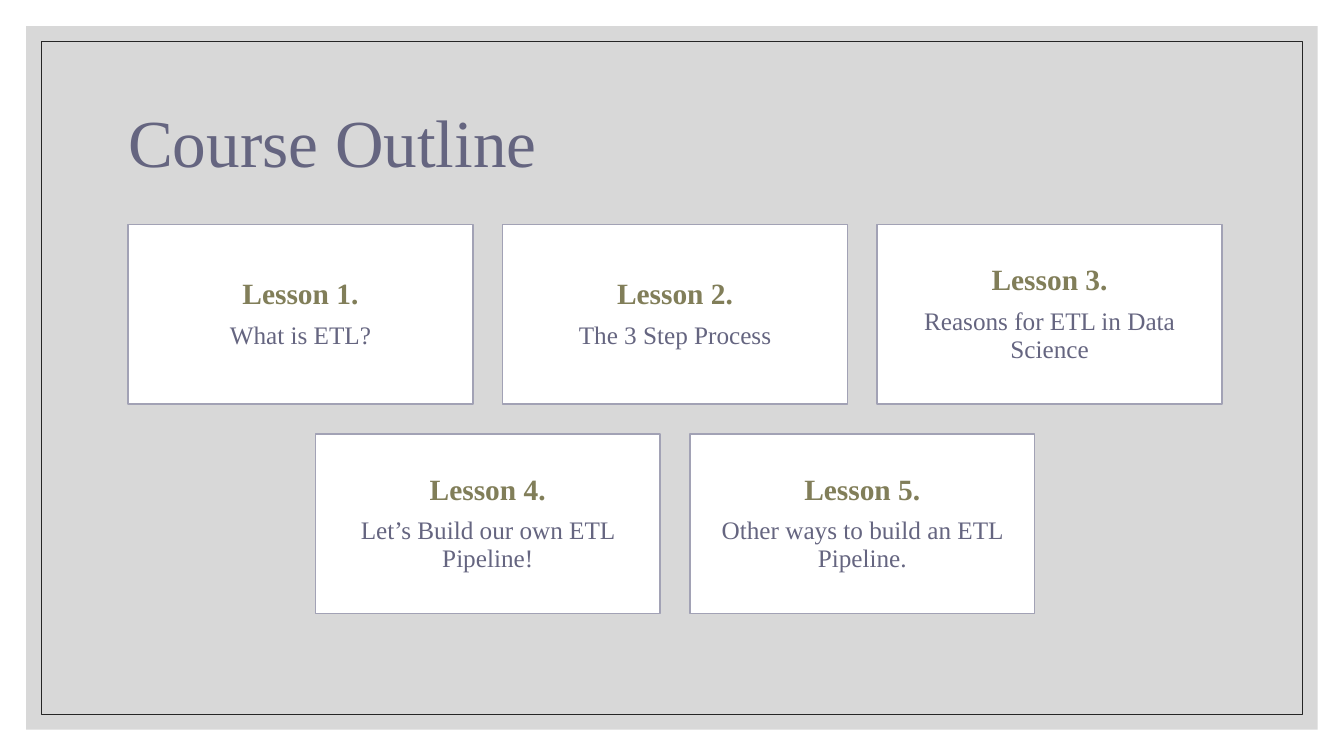
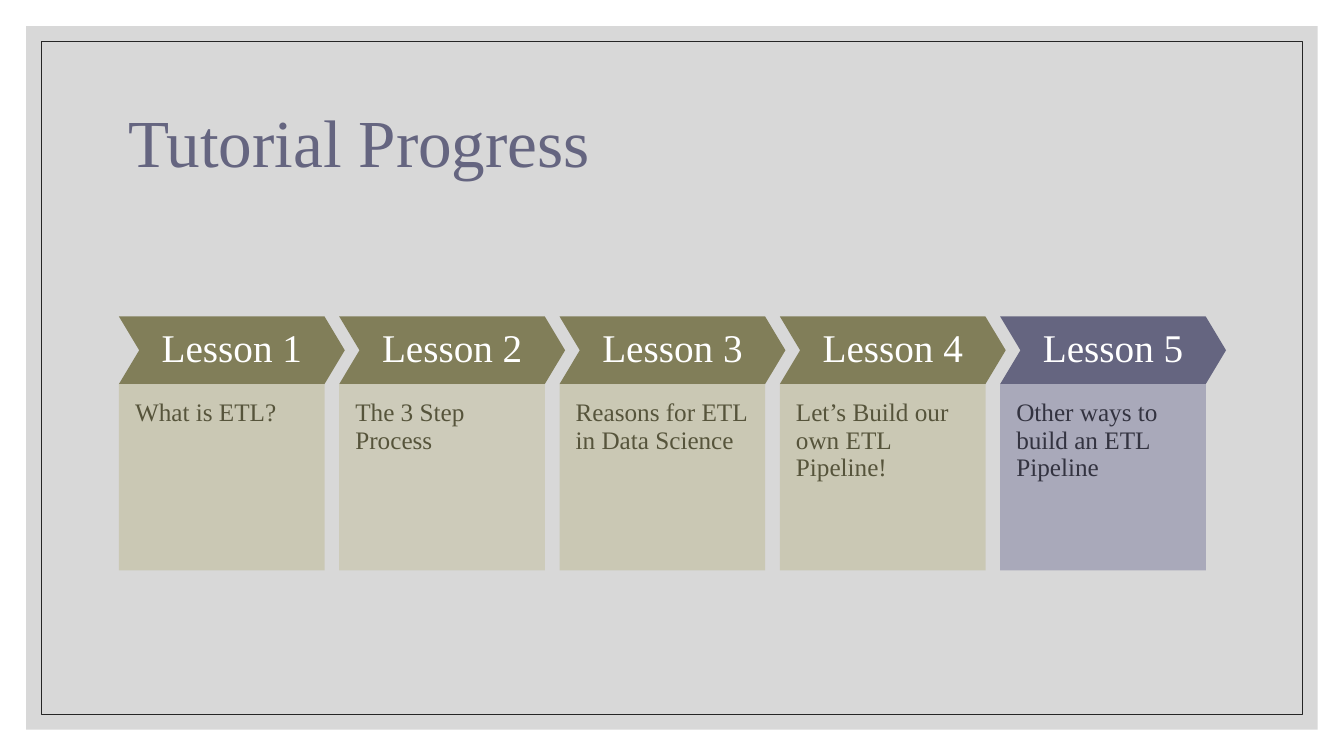
from lxml import etree
from pptx import Presentation
from pptx import util as u
from pptx.dml.color import RGBColor
from pptx.enum import shapes, text
from pptx.oxml import ns

COLORS = {
    "white": "FFFFFF", "backdrop": "BFBFBF", "frame": "262626",
    "violet": "656580", "violet_edge": "A2A2B5", "violet_pale": "A9A9BA", "violet_dark": "333340",
    "olive": "817E59", "olive_pale": "C9C7B1", "olive_light": "CCCAB7", "olive_dark": "56543B",
}
FONT = "Times New Roman"
WIDTH, HEIGHT = 13.33, 7.5
TOPICS = [
    "What is ETL?",
    "The 3 Step Process",
    "Reasons for ETL in Data Science",
    "Let’s Build our own ETL Pipeline!",
    "Other ways to build an ETL Pipeline",
]


def add_box(slide, kind, place, fill=None, opacity=100, line=None, line_width=1):
    shape = slide.shapes.add_shape(kind, *map(u.Inches, place))
    shape.shadow.inherit = False
    if fill:
        shape.fill.solid()
        shape.fill.fore_color.rgb = RGBColor.from_string(COLORS[fill])
        if opacity < 100:
            color = shape.element.spPr.find(".//" + ns.qn("a:srgbClr"))
            etree.SubElement(color, ns.qn("a:alpha"), val=str(opacity * 1000))
    else:
        shape.fill.background()
    if line:
        shape.line.color.rgb = RGBColor.from_string(COLORS[line])
        shape.line.width = u.Pt(line_width)
    else:
        shape.line.fill.background()
    return shape


def write(shape, lines, align, anchor, margins):
    frame = shape.text_frame
    frame.word_wrap = True
    frame.vertical_anchor = anchor
    frame.margin_left, frame.margin_top, frame.margin_right, frame.margin_bottom = map(u.Inches, margins)
    frame.text = "\n".join(line[0] for line in lines)
    for paragraph, (_, size, color, bold) in zip(frame.paragraphs, lines):
        paragraph.alignment = align
        paragraph.line_spacing = 0.9
        paragraph.space_after = u.Pt(size * 0.4)
        paragraph.font.name = FONT
        paragraph.font.size = u.Pt(size)
        paragraph.font.bold = bold
        paragraph.font.color.rgb = RGBColor.from_string(COLORS[color])


presentation = Presentation()
presentation.slide_width = u.Inches(WIDTH)
presentation.slide_height = u.Inches(HEIGHT)

layout = presentation.slide_layouts.get_by_name("Title Only")
for placeholder in list(layout.placeholders):
    if placeholder.placeholder_format.type != shapes.PP_PLACEHOLDER.TITLE:
        placeholder.element.getparent().remove(placeholder.element)
layout_title = layout.placeholders[0]
layout_title.left, layout_title.top = u.Inches(1.17), u.Inches(0.7)
layout_title.width, layout_title.height = u.Inches(11), u.Inches(1.5)

slides = []
for title in ("Course Outline", "Tutorial Progress"):
    slide = presentation.slides.add_slide(layout)
    write(slide.shapes.title, [(title, 48, "violet", False)],
          text.PP_ALIGN.LEFT, text.MSO_ANCHOR.MIDDLE, (0.1, 0.05, 0.1, 0.05))
    slides.append(slide)
outline, progress = slides

RECTANGLE = shapes.MSO_SHAPE.RECTANGLE
backdrop, border = [
    add_box(outline, RECTANGLE, (inset, inset, WIDTH - 2 * inset, HEIGHT - 2 * inset), **style)
    for inset, style in (
        (0.26, {"fill": "backdrop", "opacity": 60}),
        (0.41, {"line": "frame", "line_width": 0.5}),
    )
]
layout_title.element.addprevious(backdrop.element)
layout_title.element.addprevious(border.element)

CARD_LEFT, CARD_TOP, CARD_SPAN = 1.27, 2.23, 10.85
CARD_WIDTH, CARD_HEIGHT, CARD_COLUMNS = 3.42, 1.78, 3
card_gap = (CARD_SPAN - CARD_COLUMNS * CARD_WIDTH) / (CARD_COLUMNS - 1)
outline_topics = TOPICS[:-1] + [TOPICS[-1] + "."]
for index, topic in enumerate(outline_topics):
    row, column = divmod(index, CARD_COLUMNS)
    row_count = min(CARD_COLUMNS, len(TOPICS) - row * CARD_COLUMNS)
    indent = (CARD_COLUMNS - row_count) * (CARD_WIDTH + card_gap) / 2
    left = CARD_LEFT + indent + column * (CARD_WIDTH + card_gap)
    top = CARD_TOP + row * (CARD_HEIGHT + card_gap)
    card = add_box(outline, RECTANGLE, (left, top, CARD_WIDTH, CARD_HEIGHT), "white", line="violet_edge")
    write(card, [(f"Lesson {index + 1}.", 21, "olive", True), (topic, 18, "violet", False)],
          text.PP_ALIGN.CENTER, text.MSO_ANCHOR.MIDDLE, (0.08, 0.09, 0.08, 0.09))

STEP_LEFT, STEP_TOP, STEP_SPAN = 1.18, 3.14, 10.98
CHEVRON_WIDTH, CHEVRON_HEIGHT = 2.24, 0.67
PANEL_WIDTH, PANEL_HEIGHT = 2.04, 1.85
step_pitch = (STEP_SPAN - CHEVRON_WIDTH) / (len(TOPICS) - 1)
step_styles = [("olive", pale, 90, "olive_dark")
               for pale in ("olive_pale", "olive_light", "olive_pale", "olive_pale")]
step_styles.append(("violet", "violet_pale", 100, "violet_dark"))
for index, (topic, (strong, pale, opacity, ink)) in enumerate(zip(TOPICS, step_styles)):
    left = STEP_LEFT + index * step_pitch
    chevron = add_box(progress, shapes.MSO_SHAPE.CHEVRON,
                      (left, STEP_TOP, CHEVRON_WIDTH, CHEVRON_HEIGHT), strong)
    chevron.adjustments[0] = 0.3
    write(chevron, [(f"Lesson {index + 1}", 28, "white", False)],
          text.PP_ALIGN.CENTER, text.MSO_ANCHOR.MIDDLE, (0.08, 0.08, 0.08, 0.08))
    panel = add_box(progress, RECTANGLE,
                    (left, STEP_TOP + CHEVRON_HEIGHT, PANEL_WIDTH, PANEL_HEIGHT), pale, opacity)
    write(panel, [(topic, 18, ink, False)],
          text.PP_ALIGN.LEFT, text.MSO_ANCHOR.TOP, (0.16, 0.16, 0.16, 0.32))

presentation.save("out.pptx")
